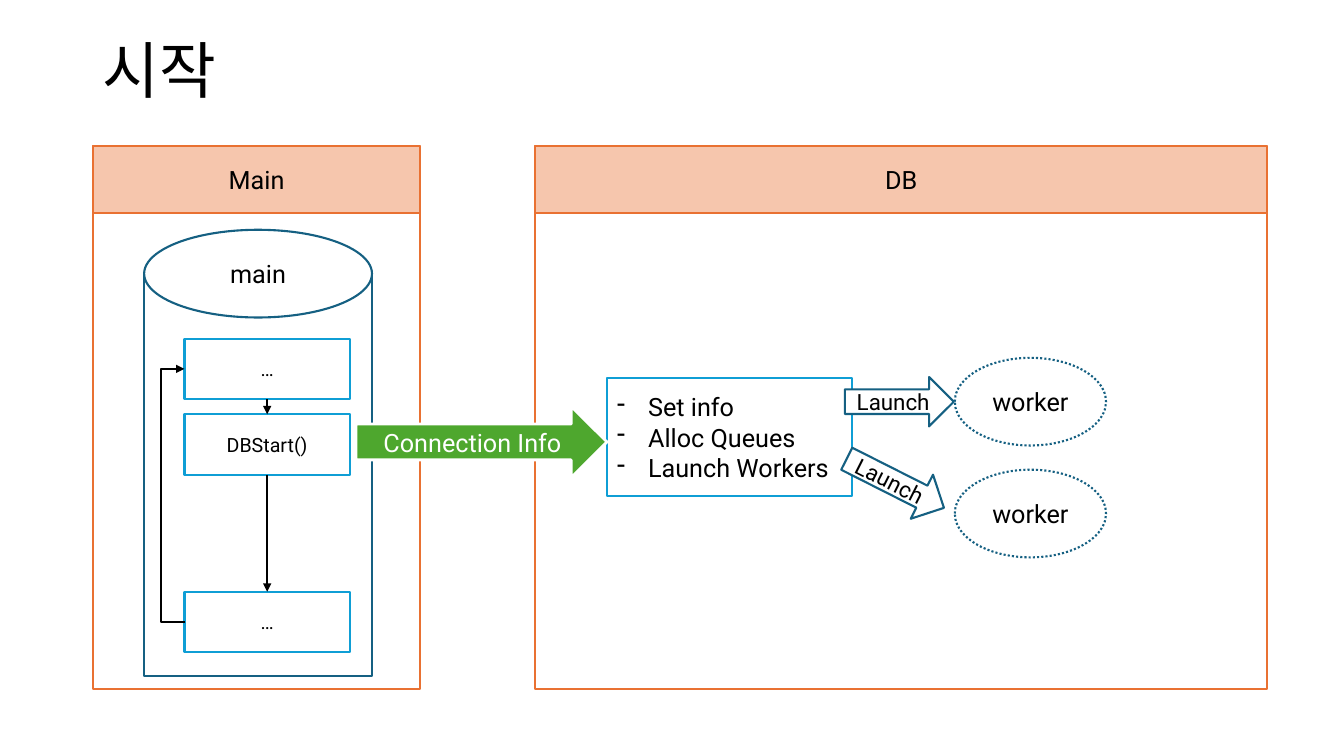
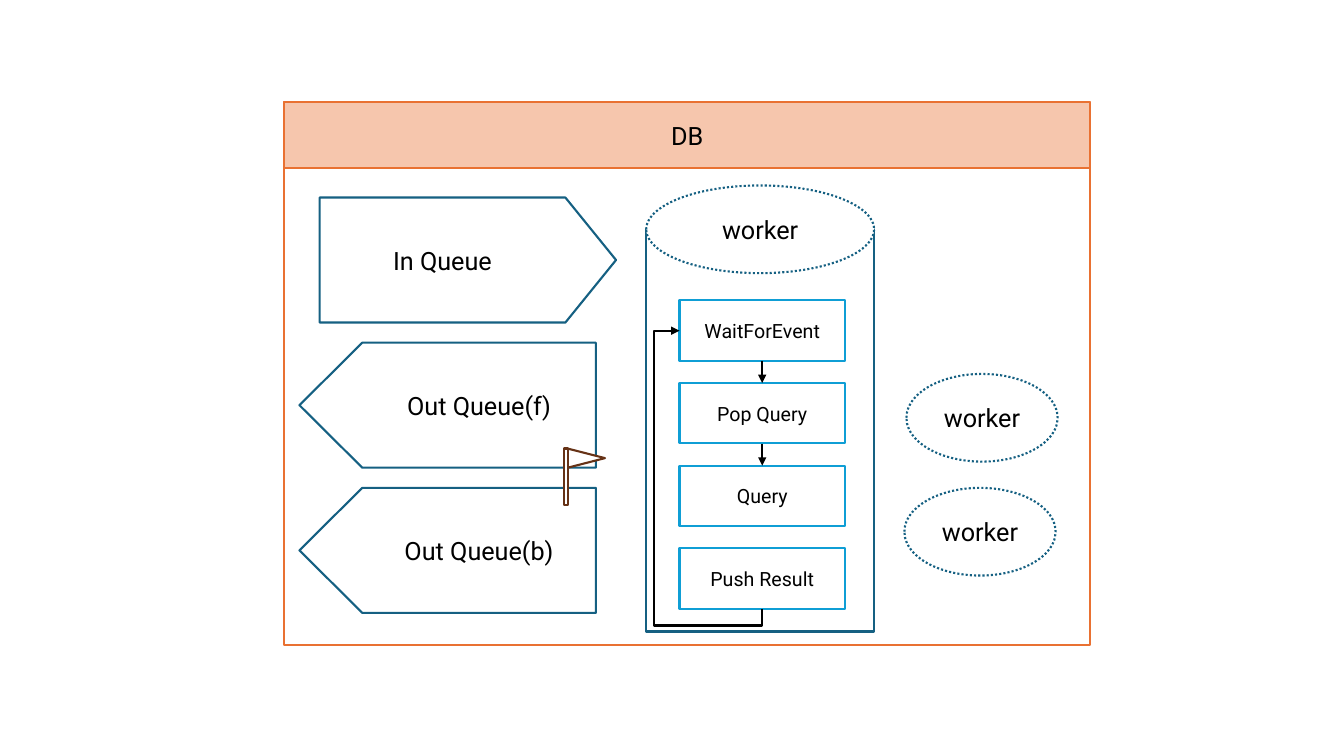
from dataclasses import dataclass
from itertools import pairwise

from lxml.etree import SubElement
from pptx import Presentation
from pptx.dml.color import RGBColor
from pptx.enum.dml import MSO_LINE
from pptx.enum.shapes import MSO_CONNECTOR as LINK, MSO_SHAPE as SHAPE
from pptx.enum.text import MSO_ANCHOR, PP_ALIGN
from pptx.oxml.ns import qn
from pptx.util import Inches, Pt

BLACK = RGBColor(0x00, 0x00, 0x00)
WHITE = RGBColor(0xFF, 0xFF, 0xFF)
ORANGE = RGBColor(0xE9, 0x71, 0x32)
PEACH = RGBColor(0xF6, 0xC6, 0xAD)
TEAL = RGBColor(0x15, 0x60, 0x82)
SKY = RGBColor(0x0F, 0x9E, 0xD5)
GREEN = RGBColor(0x4E, 0xA7, 0x2E)
BROWN = RGBColor(0x66, 0x32, 0x16)
FONT = "Roboto"

PANEL_H, HEADER_H = 5.39, 0.66
THREAD_W, THREAD_H = 2.26, 3.99
OVAL_H = 0.87
STEP_W, STEP_H = 1.64, 0.6


@dataclass(frozen=True)
class Style:
    geometry: SHAPE
    line: RGBColor
    fill: RGBColor = WHITE
    font: RGBColor = BLACK
    size: float = 18
    weight: float = 1.5
    dotted: bool = False
    adjust: tuple[float, ...] = ()


PANEL = Style(SHAPE.RECTANGLE, ORANGE)
HEADER = Style(SHAPE.RECTANGLE, ORANGE, PEACH)
THREAD = Style(SHAPE.RECTANGLE, TEAL)
MAIN = Style(SHAPE.OVAL, TEAL)
WORKER = Style(SHAPE.OVAL, TEAL, dotted=True)
STEP = Style(SHAPE.RECTANGLE, SKY, size=14)
TASKS = Style(SHAPE.RECTANGLE, SKY)
LAUNCH = Style(SHAPE.RIGHT_ARROW, TEAL, size=16)
CONNECTION = Style(SHAPE.RIGHT_ARROW, WHITE, GREEN, WHITE, weight=2)
IN_QUEUE = Style(SHAPE.RIGHT_ARROW, TEAL, adjust=(1, 0.405))
OUT_QUEUE = Style(SHAPE.LEFT_ARROW, TEAL, adjust=(1, 0.503))
PENNANT = Style(SHAPE.ISOSCELES_TRIANGLE, BROWN)
POLE = Style(SHAPE.RECTANGLE, BROWN)


@dataclass(frozen=True)
class Box:
    x: float
    y: float
    w: float
    h: float
    style: Style
    text: str = ""
    rotation: float = 0


def format_text(tf, size: float, color: RGBColor, align: PP_ALIGN) -> None:
    tf.word_wrap = True
    tf.vertical_anchor = MSO_ANCHOR.MIDDLE
    for p in tf.paragraphs:
        p.alignment = align
        for r in p.runs:
            r.font.size = Pt(size)
            r.font.color.rgb = color
            r.font.name = FONT
            SubElement(r.font._element, qn("a:ea"), typeface=FONT)


def draw(shapes, box: Box):
    style = box.style
    sp = shapes.add_shape(style.geometry, Inches(box.x), Inches(box.y),
                          Inches(box.w), Inches(box.h))
    sp.shadow.inherit = False
    sp.rotation = box.rotation
    for i, value in enumerate(style.adjust):
        sp.adjustments[i] = value
    sp.fill.solid()
    sp.fill.fore_color.rgb = style.fill
    sp.line.color.rgb = style.line
    sp.line.width = Pt(style.weight)
    if style.dotted:
        sp.line.dash_style = MSO_LINE.ROUND_DOT
    if box.text:
        sp.text_frame.text = box.text
        format_text(sp.text_frame, style.size, style.font, PP_ALIGN.CENTER)
    return sp


def draw_title(shapes, text: str) -> None:
    tf = shapes.add_textbox(Inches(0.92), 0, Inches(11.5), Inches(1.45)).text_frame
    tf.text = text
    tf.paragraphs[0].line_spacing = 0.9
    format_text(tf, 44, BLACK, PP_ALIGN.LEFT)


def draw_panel(shapes, x: float, y: float, w: float, name: str) -> None:
    draw(shapes, Box(x, y, w, PANEL_H, PANEL))
    draw(shapes, Box(x, y, w, HEADER_H, HEADER, name))


def draw_thread(shapes, x: float, y: float, style: Style, name: str) -> None:
    draw(shapes, Box(x, y + OVAL_H / 2, THREAD_W, THREAD_H, THREAD))
    draw(shapes, Box(x, y, THREAD_W, OVAL_H, style, name))


def draw_worker(shapes, x: float, y: float) -> None:
    draw(shapes, Box(x, y, 1.5, OVAL_H, WORKER, "worker"))


def draw_steps(shapes, x: float, steps: list[tuple[float, str]]) -> list:
    return [draw(shapes, Box(x, y, STEP_W, STEP_H, STEP, text)) for y, text in steps]


def add_arrow(shapes, kind: LINK, x1: float, y1: float, x2: float, y2: float):
    c = shapes.add_connector(kind, Inches(x1), Inches(y1), Inches(x2), Inches(y2))
    c.line.color.rgb = BLACK
    c.line.width = Pt(1.5)
    SubElement(c.line._get_or_add_ln(), qn("a:tailEnd"), type="triangle")
    SubElement(c._element.spPr, qn("a:effectLst"))
    return c


def link_down(shapes, upper, lower) -> None:
    c = add_arrow(shapes, LINK.STRAIGHT, 0, 0, 1, 1)
    c.begin_connect(upper, 2)
    c.end_connect(lower, 0)


def set_bends(c, preset: str, *ratios: float) -> None:
    geom = c._element.spPr.find(qn("a:prstGeom"))
    geom.set("prst", preset)
    guides = geom.find(qn("a:avLst"))
    if guides is None:
        guides = SubElement(geom, qn("a:avLst"))
    for i, ratio in enumerate(ratios, 1):
        name = "adj" if preset == "bentConnector2" else f"adj{i}"
        SubElement(guides, qn("a:gd"), name=name, fmla=f"val {round(ratio * 100000)}")


def draw_tasks(shapes, tasks: list[str]) -> None:
    sp = draw(shapes, Box(6.02, 3.75, 2.43, 1.17, TASKS, "\n".join(tasks)))
    for p in sp.text_frame.paragraphs:
        p.alignment = PP_ALIGN.LEFT
        pPr = p._p.get_or_add_pPr()
        pPr.set("marL", str(Inches(0.31)))
        pPr.set("indent", str(-Inches(0.31)))
        SubElement(pPr, qn("a:buFontTx"))
        SubElement(pPr, qn("a:buChar"), char="-")


def build_start(shapes) -> None:
    draw_title(shapes, "시작")
    draw_panel(shapes, 0.92, 1.45, 3.25, "Main")
    draw_panel(shapes, 5.31, 1.45, 7.26, "DB")
    for y in (3.55, 4.66):
        draw_worker(shapes, 9.47, y)
    draw_tasks(shapes, ["Set info", "Alloc Queues", "Launch Workers"])
    draw(shapes, Box(8.38, 3.74, 1.08, 0.49, LAUNCH, "Launch"))
    draw(shapes, Box(8.34, 4.55, 1.08, 0.49, LAUNCH, "Launch", 26.8))

    draw_thread(shapes, 1.43, 2.28, MAIN, "main")
    steps = draw_steps(shapes, 1.83, [(3.36, "…"), (4.11, "DBStart()"), (5.87, "…")])
    for upper, lower in pairwise(steps):
        link_down(shapes, upper, lower)
    loop = add_arrow(shapes, LINK.ELBOW, 1.84, 6.17, 1.83, 3.66)
    set_bends(loop, "bentConnector3", 25)
    draw(shapes, Box(3.53, 4.03, 2.49, 0.71, CONNECTION, "Connection Info"))


def build_db(shapes) -> None:
    draw_panel(shapes, 2.82, 1.01, 7.99, "DB")
    queues = [(3.17, IN_QUEUE, "In Queue"),
              (2.97, OUT_QUEUE, "Out Queue(f)"),
              (2.97, OUT_QUEUE, "Out Queue(b)")]
    for i, (x, style, name) in enumerate(queues):
        draw(shapes, Box(x, 1.96 + 1.44 * i, 2.94, 1.24, style, name))

    draw_thread(shapes, 6.41, 1.84, WORKER, "worker")
    names = ["WaitForEvent", "Pop Query", "Query", "Push Result"]
    steps = draw_steps(shapes, 6.74, [(2.98 + 0.82 * i, s) for i, s in enumerate(names)])
    for upper, lower in pairwise(steps[:3]):
        link_down(shapes, upper, lower)
    loop = add_arrow(shapes, LINK.ELBOW, 5.77, 4.25, 8.53, 5.07)
    xfrm = loop._element.spPr.find(qn("a:xfrm"))
    xfrm.set("rot", str(90 * 60000))
    xfrm.set("flipH", "1")
    set_bends(loop, "bentConnector4", -0.06, 1.31)

    flag = shapes.add_group_shape().shapes
    draw(flag, Box(5.72, 4.36, 0.19, 0.37, PENNANT, rotation=90))
    draw(flag, Box(5.59, 4.45, 0.04, 0.56, POLE))
    for x, y in ((8.99, 3.71), (8.97, 4.84)):
        draw_worker(shapes, x, y)


def main() -> None:
    prs = Presentation()
    prs.slide_width, prs.slide_height = Inches(13.33), Inches(7.5)
    for build in (build_start, build_db):
        build(prs.slides.add_slide(prs.slide_layouts[6]).shapes)
    prs.save("out.pptx")


if __name__ == "__main__":
    main()
